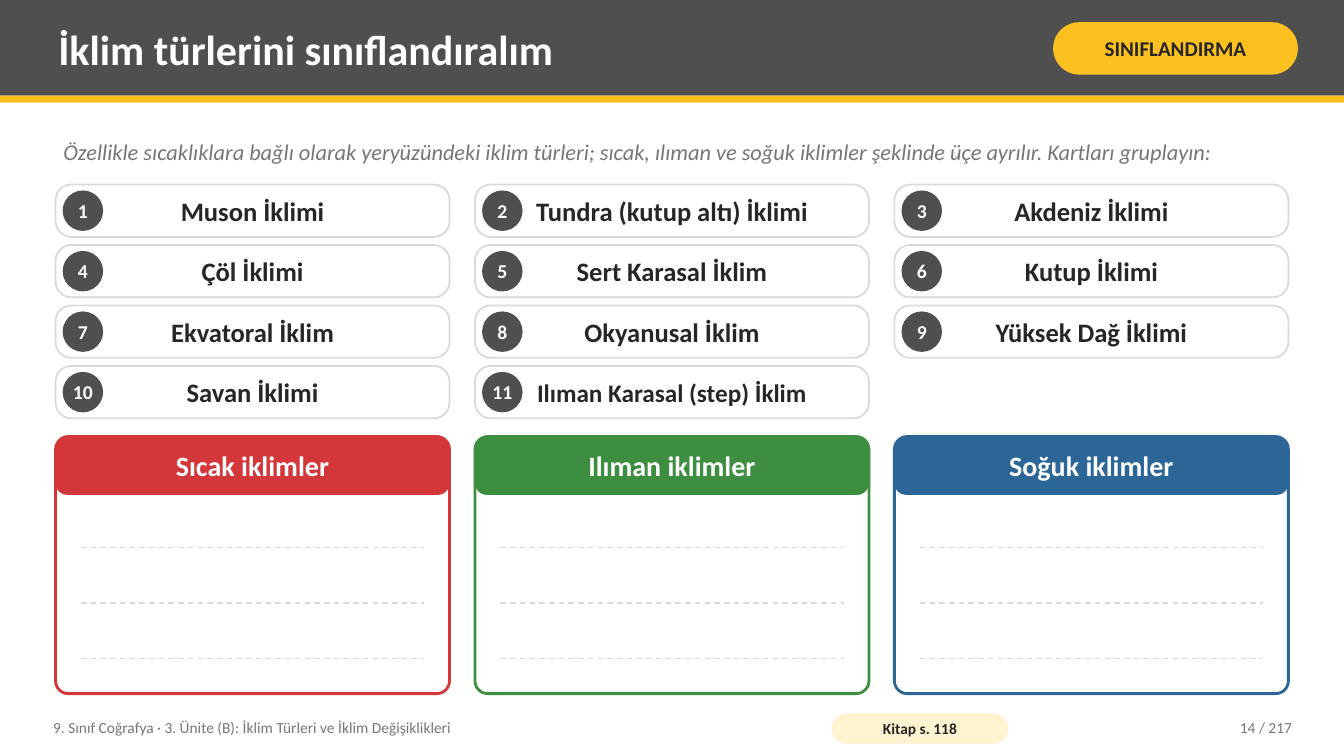
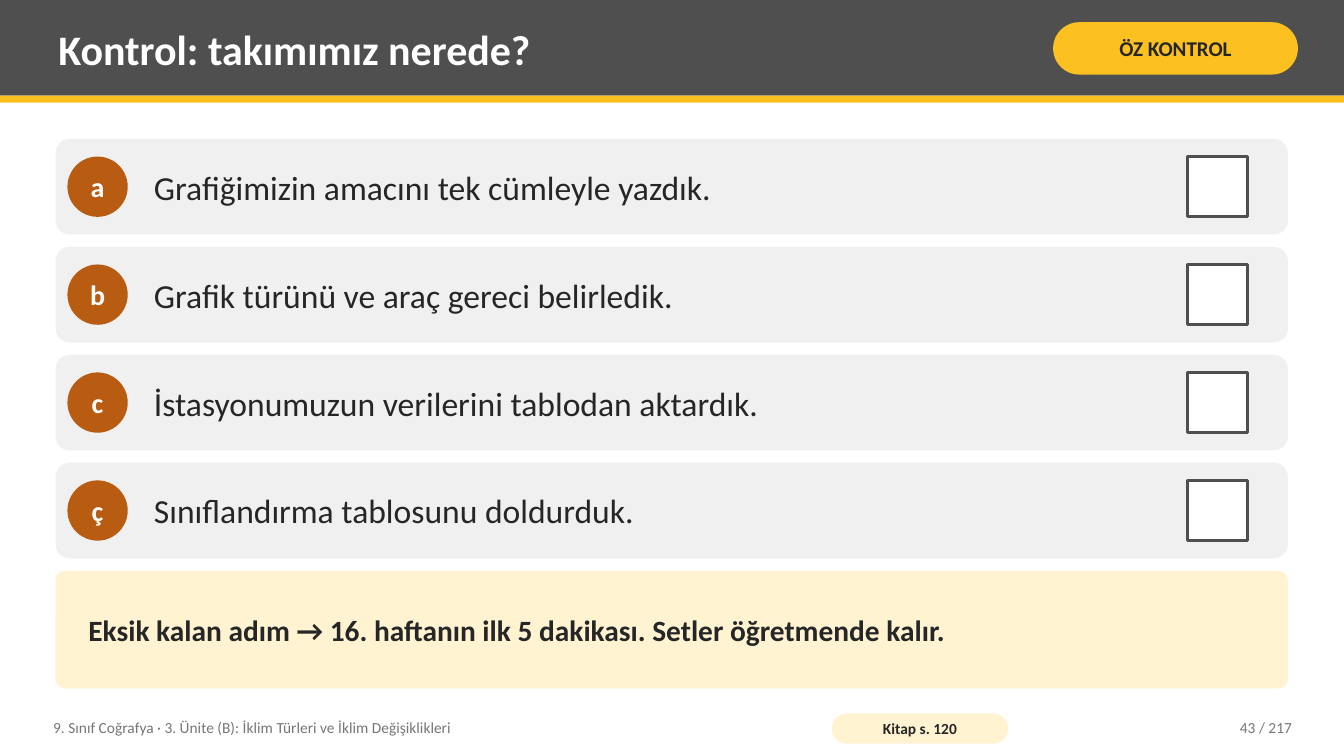
from dataclasses import dataclass
from typing import NamedTuple

from lxml import etree
from pptx import Presentation
from pptx.dml.color import RGBColor
from pptx.enum.dml import MSO_LINE
from pptx.enum.shapes import MSO_CONNECTOR, MSO_SHAPE
from pptx.enum.text import MSO_ANCHOR, PP_ALIGN
from pptx.oxml.ns import qn
from pptx.shapes.base import BaseShape
from pptx.slide import Slide
from pptx.util import Cm, Pt

RECT = MSO_SHAPE.RECTANGLE
ROUND = MSO_SHAPE.ROUNDED_RECTANGLE
OVAL = MSO_SHAPE.OVAL
STRAIGHT = MSO_CONNECTOR.STRAIGHT
DASH = MSO_LINE.DASH
MIDDLE = MSO_ANCHOR.MIDDLE
LEFT, CENTER, RIGHT = PP_ALIGN.LEFT, PP_ALIGN.CENTER, PP_ALIGN.RIGHT

FONT = "Calibri"
HUES = {
    "dark": "4F4F4F",
    "gold": "FCC021",
    "cream": "FFF3D1",
    "ink": "262626",
    "gray": "767676",
    "rule": "D9D9D9",
    "pale": "F0F0F0",
    "white": "FFFFFF",
    "red": "D3373A",
    "green": "3E8E41",
    "blue": "2C6696",
    "rust": "B85C12",
}
WIDE, HIGH = 33.87, 19.05
EDGE, SPAN = 1.4, 31.06
COURSE = "9. Sınıf Coğrafya · 3. Ünite (B): İklim Türleri ve İklim Değişiklikleri"
TOTAL = 217


class Box(NamedTuple):
    """Left, top, width and height in centimetres."""
    x: float
    y: float
    w: float
    h: float


class Line(NamedTuple):
    hue: str
    width: float


@dataclass(frozen=True)
class Style:
    size: float
    hue: str = "ink"
    bold: bool = False
    slant: bool = False
    align: PP_ALIGN = LEFT
    pad: tuple[float, float] = (0.2, 0.1)
    wrap: bool = True


@dataclass(frozen=True)
class Frame:
    title: str
    tag: str
    source: str
    page: int


class Card(NamedTuple):
    text: str
    size: float = 19


class Bin(NamedTuple):
    title: str
    hue: str


TITLE = Style(30, "white", bold=True)
TAG = Style(15, bold=True, align=CENTER, pad=(0.13, 0.05))
FOOT = Style(11, "gray")
PAGE = Style(11, "gray", align=RIGHT)
SOURCE = Style(11, bold=True, align=CENTER, pad=(0.1, 0))
HINT = Style(16, "gray", slant=True)
HEAD = Style(20, "white", bold=True, align=CENTER, pad=(0.36, 0.2))
STEP = Style(24)
NOTE = Style(21, bold=True, pad=(0.76, 0.2))

CARDS = [
    Card("Muson İklimi"),
    Card("Tundra (kutup altı) İklimi"),
    Card("Akdeniz İklimi"),
    Card("Çöl İklimi"),
    Card("Sert Karasal İklim"),
    Card("Kutup İklimi"),
    Card("Ekvatoral İklim"),
    Card("Okyanusal İklim"),
    Card("Yüksek Dağ İklimi"),
    Card("Savan İklimi"),
    Card("Ilıman Karasal (step) İklim", 18),
]
BINS = [
    Bin("Sıcak iklimler", "red"),
    Bin("Ilıman iklimler", "green"),
    Bin("Soğuk iklimler", "blue"),
]
STEPS = {
    "a": "Grafiğimizin amacını tek cümleyle yazdık.",
    "b": "Grafik türünü ve araç gereci belirledik.",
    "c": "İstasyonumuzun verilerini tablodan aktardık.",
    "ç": "Sınıflandırma tablosunu doldurduk.",
}
COLS, COL_W, COL_GAP = 3, 9.93, 10.57


def tint(name: str) -> RGBColor:
    return RGBColor.from_string(HUES[name])


def write(shape: BaseShape, text: str, style: Style) -> None:
    frame = shape.text_frame
    frame.text = text
    frame.word_wrap = style.wrap
    frame.vertical_anchor = MIDDLE
    frame.margin_left = frame.margin_right = Cm(style.pad[0])
    frame.margin_top = frame.margin_bottom = Cm(style.pad[1])
    para = frame.paragraphs[0]
    para.alignment = style.align
    font = para.runs[0].font
    font.name = FONT
    font.size = Pt(style.size)
    font.bold = style.bold
    font.italic = style.slant
    font.color.rgb = tint(style.hue)


def label(slide: Slide, box: Box, text: str, style: Style) -> None:
    write(slide.shapes.add_textbox(*map(Cm, box)), text, style)


def block(slide: Slide, kind: MSO_SHAPE, box: Box, fill: str,
          line: Line | None = None, curve: float | None = None) -> BaseShape:
    """Add a filled shape; curve is the corner rounding."""
    shape = slide.shapes.add_shape(kind, *map(Cm, box))
    shape.shadow.inherit = False
    shape.fill.solid()
    shape.fill.fore_color.rgb = tint(fill)
    if line:
        shape.line.color.rgb = tint(line.hue)
        shape.line.width = Pt(line.width)
    else:
        shape.line.fill.background()
    if curve is not None:
        shape.adjustments[0] = curve
    return shape


def disc(slide: Slide, x: float, y: float, side: float,
         fill: str, text: str, size: float) -> None:
    shape = block(slide, OVAL, Box(x, y, side, side), fill)
    write(shape, text, Style(size, "white", bold=True, align=CENTER,
                             pad=(0, 0), wrap=False))


def dashes(slide: Slide, x: float, y: float, width: float) -> None:
    """Add a dashed writing line."""
    rule = slide.shapes.add_connector(STRAIGHT, Cm(x), Cm(y), Cm(x + width), Cm(y))
    rule.line.color.rgb = tint("rule")
    rule.line.width = Pt(1)
    rule.line.dash_style = DASH
    etree.SubElement(rule._element.spPr, qn("a:effectLst"))


def start(deck: Presentation, frame: Frame) -> Slide:
    """Add a slide with the shared header and footer."""
    slide = deck.slides.add_slide(deck.slide_layouts[6])
    block(slide, RECT, Box(0, 0, WIDE, 2.41), "dark")
    block(slide, RECT, Box(0, 2.41, WIDE, 0.18), "gold")
    label(slide, Box(1.27, 0.18, 24.77, 2.08), frame.title, TITLE)
    tag = block(slide, ROUND, Box(26.54, 0.56, 6.17, 1.32), "gold", curve=0.5)
    write(tag, frame.tag, TAG)
    label(slide, Box(1.14, 17.88, 19.3, 0.91), COURSE, FOOT)
    pill = block(slide, ROUND, Box(20.96, 17.98, 4.45, 0.76), "cream", curve=0.5)
    write(pill, frame.source, SOURCE)
    label(slide, Box(28.7, 17.88, 4.06, 0.91), f"{frame.page} / {TOTAL}", PAGE)
    return slide


def draw_card(slide: Slide, place: int, card: Card) -> None:
    row, col = divmod(place, COLS)
    x, y = EDGE + col * COL_GAP, 4.65 + row * 1.524
    shape = block(slide, ROUND, Box(x, y, COL_W, 1.32), "white",
                  Line("rule", 1.25), 0.3)
    write(shape, card.text, Style(card.size, bold=True, align=CENTER, pad=(1.27, 0)))
    disc(slide, x + 0.18, y + 0.15, 1.02, "dark", str(place + 1), 14)


def draw_bin(slide: Slide, col: int, item: Bin) -> None:
    x, y = EDGE + col * COL_GAP, 11
    block(slide, ROUND, Box(x, y, COL_W, 6.48), "white", Line(item.hue, 2), 0.05)
    head = block(slide, ROUND, Box(x, y, COL_W, 1.47), item.hue, curve=0.2)
    write(head, item.title, HEAD)
    inset = 0.64
    for row in range(3):
        dashes(slide, x + inset, y + 2.79 + row * 1.4, COL_W - 2 * inset)


def draw_step(slide: Slide, row: int, mark: str, text: str) -> None:
    y, high, side = 3.5 + row * 2.72, 2.41, 1.52
    mid = y + (high - side) / 2
    block(slide, ROUND, Box(EDGE, y, SPAN, high), "pale", curve=0.15)
    disc(slide, 1.7, mid, side, "rust", mark, 20)
    label(slide, Box(3.68, y, 25.48, high), text, STEP)
    block(slide, RECT, Box(29.92, mid, side, side), "white", Line("dark", 2))


def sort_slide(deck: Presentation) -> None:
    slide = start(deck, Frame("İklim türlerini sınıflandıralım", "SINIFLANDIRMA",
                              "Kitap s. 118", 14))
    label(slide, Box(EDGE, 3.25, SPAN, 1.14),
          "Özellikle sıcaklıklara bağlı olarak yeryüzündeki iklim türleri; sıcak, "
          "ılıman ve soğuk iklimler şeklinde üçe ayrılır. Kartları gruplayın:", HINT)
    for place, card in enumerate(CARDS):
        draw_card(slide, place, card)
    for col, item in enumerate(BINS):
        draw_bin(slide, col, item)


def check_slide(deck: Presentation) -> None:
    slide = start(deck, Frame("Kontrol: takımımız nerede?", "ÖZ KONTROL",
                              "Kitap s. 120", 43))
    for row, (mark, text) in enumerate(STEPS.items()):
        draw_step(slide, row, mark, text)
    note = block(slide, ROUND, Box(EDGE, 14.38, SPAN, 2.97), "cream", curve=0.08)
    write(note, "Eksik kalan adım → 16. haftanın ilk 5 dakikası. "
                "Setler öğretmende kalır.", NOTE)


def main() -> None:
    deck = Presentation()
    deck.slide_width, deck.slide_height = Cm(WIDE), Cm(HIGH)
    sort_slide(deck)
    check_slide(deck)
    deck.save("out.pptx")


if __name__ == "__main__":
    main()
